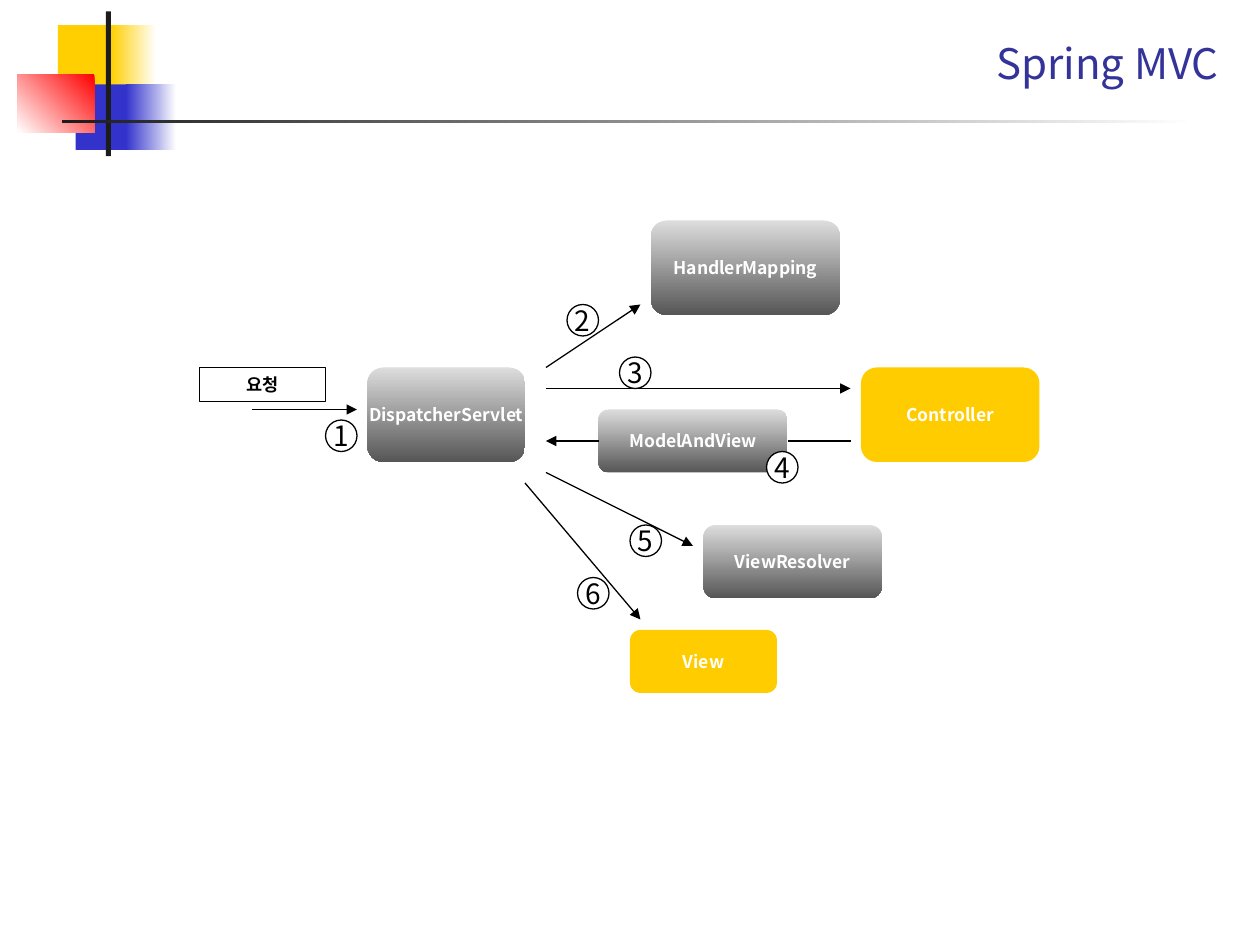
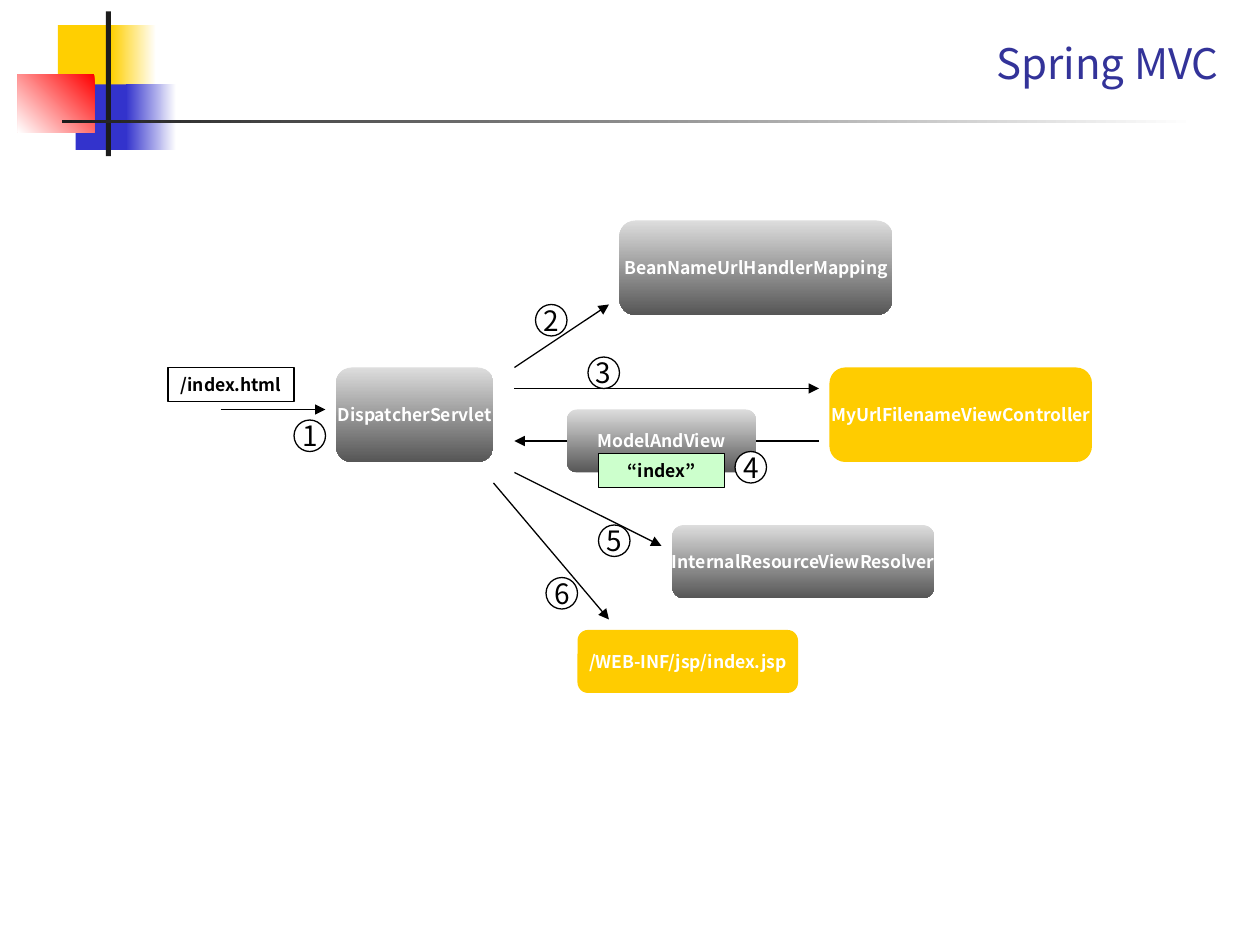
from dataclasses import dataclass

from lxml import etree
from pptx import Presentation
from pptx.dml.color import RGBColor
from pptx.enum.shapes import MSO_CONNECTOR, MSO_SHAPE
from pptx.enum.text import MSO_ANCHOR, MSO_AUTO_SIZE, PP_ALIGN
from pptx.oxml.ns import qn
from pptx.util import Pt

RECT, ROUNDED, OVAL = MSO_SHAPE.RECTANGLE, MSO_SHAPE.ROUNDED_RECTANGLE, MSO_SHAPE.OVAL
STRAIGHT = MSO_CONNECTOR.STRAIGHT
CENTER, RIGHT = PP_ALIGN.CENTER, PP_ALIGN.RIGHT
TOP, MIDDLE, BOTTOM = MSO_ANCHOR.TOP, MSO_ANCHOR.MIDDLE, MSO_ANCHOR.BOTTOM

EMU_PER_PX = 3048  # 300 px to the inch
SLIDE_SIZE = (3000, 2250)


@dataclass(frozen=True)
class Theme:
    font: str = "Noto Sans CJK KR"
    title_size: int = 24
    badge_size: int = 16
    label_size: int = 10
    line_width: float = 0.75
    title: str = "333399"
    black: str = "000000"
    white: str = "FFFFFF"
    bar: str = "1C1C1C"
    yellow: str = "FFCF01"
    blue: str = "3333CC"
    red: str = "FF0000"
    custom: str = "FFCC00"
    tag: str = "CCFFCC"
    framework: tuple = ("DDDDDD", "565656", 90)


THEME = Theme()

# Fills are a colour, a (start, end, clockwise angle) gradient, or None.
DECORATION = [
    ((138, 60, 144, 156), THEME.yellow),
    ((264, 60, 108, 156), (THEME.white, THEME.yellow, 180)),
    ((180, 201, 138, 156), THEME.blue),
    ((300, 201, 120, 156), (THEME.white, THEME.blue, 180)),
    ((42, 177, 183, 138), (THEME.red, THEME.white, 135)),
    ((252, 27, 12, 345), THEME.bar),
    ((147, 285, 2700, 9), (THEME.white, THEME.bar, 180)),
]
TITLE_BOX = (375, 51, 2556, 174)

# Slots of the diagram: left, top, height, fill; slides give text and width.
SLOTS = {
    "dispatcher": (875, 875, 225, THEME.framework),
    "mapping": (1550, 525, 225, THEME.framework),
    "controller": (2050, 875, 225, THEME.custom),
    "model": (1425, 975, 150, THEME.framework),
    "resolver": (1675, 1250, 175, THEME.framework),
    "view": (1500, 1500, 150, THEME.custom),
}
REQUEST_BOX = (475, 875, 300, 81)
TAG_BOX = (1500, 1080, 300, 81)
BADGE_SIZE = 75
BADGES = [(775, 1000), (1350, 725), (1475, 850), (1825, 1075), (1500, 1250), (1375, 1375)]
# Start, end, has arrowhead
ARROWS = [
    ((600, 975), (850, 975), True),
    ((1300, 875), (1525, 725), True),
    ((1300, 925), (2025, 925), True),
    ((2025, 1050), (1875, 1050), False),
    ((1425, 1050), (1300, 1050), True),
    ((1300, 1125), (1650, 1300), True),
    ((1250, 1150), (1525, 1475), True),
]

SLIDES = [
    {
        "title": "Spring MVC", "shift": 0, "view_shift": 0,
        "request": "요청", "tag": None,
        "boxes": {
            "dispatcher": ("DispatcherServlet", 375),
            "mapping": ("HandlerMapping", 450),
            "controller": ("Controller", 425),
            "model": ("ModelAndView", 450),
            "resolver": ("ViewResolver", 425),
            "view": ("View", 350),
        },
    },
    {
        "title": "Spring MVC", "shift": -75, "view_shift": -50,
        "request": "/index.html", "tag": "“index”",
        "boxes": {
            "dispatcher": ("DispatcherServlet", 375),
            "mapping": ("BeanNameUrlHandlerMapping", 650),
            "controller": ("MyUrlFilenameViewController", 625),
            "model": ("ModelAndView", 450),
            "resolver": ("InternalResourceViewResolver", 625),
            "view": ("/WEB-INF/jsp/index.jsp", 525),
        },
    },
]


def px(*lengths):
    return [n * EMU_PER_PX for n in lengths]


def moved(box, dx):
    return (box[0] + dx, *box[1:])


def set_fill(sp, fill):
    if fill is None:
        sp.fill.background()
    elif isinstance(fill, str):
        sp.fill.solid()
        sp.fill.fore_color.rgb = RGBColor.from_string(fill)
    else:
        *colours, angle = fill
        sp.fill.gradient()
        sp.fill.gradient_angle = 360 - angle
        for stop, colour in zip(sp.fill.gradient_stops, colours):
            stop.color.rgb = RGBColor.from_string(colour)


def set_line(line):
    line.color.rgb = RGBColor.from_string(THEME.black)
    line.width = Pt(THEME.line_width)


def add_shape(s, kind, box, fill, outlined=False):
    sp = s.shapes.add_shape(kind, *px(*box))
    sp.shadow.inherit = False
    set_fill(sp, fill)
    if outlined:
        set_line(sp.line)
    else:
        sp.line.fill.background()
    return sp


def set_text(sp, text, size, colour, bold=False, align=CENTER, anchor=MIDDLE, wrap=False):
    tf = sp.text_frame
    tf.text = text
    tf.word_wrap = wrap
    tf.vertical_anchor = anchor
    p = tf.paragraphs[0]
    p.alignment = align
    r = p.runs[0]
    r.font.size = Pt(size)
    r.font.bold = bold
    r.font.name = THEME.font
    r.font.color.rgb = RGBColor.from_string(colour)
    east_asian = etree.SubElement(r.font._element, qn("a:ea"))
    east_asian.set("typeface", THEME.font)


def add_label(s, text, box, fill=None):
    """Add an outlined caption that grows with its text."""
    sp = add_shape(s, RECT, box, fill, outlined=True)
    set_text(sp, text, THEME.label_size, THEME.black, bold=True, anchor=TOP, wrap=True)
    sp.text_frame.auto_size = MSO_AUTO_SIZE.SHAPE_TO_FIT_TEXT


def add_badge(s, number, left, top):
    sp = add_shape(s, OVAL, (left, top, BADGE_SIZE, BADGE_SIZE), THEME.white, outlined=True)
    set_text(sp, str(number), THEME.badge_size, THEME.black)


def add_arrow(s, start, end, has_head):
    cxn = s.shapes.add_connector(STRAIGHT, *px(*start, *end))
    set_line(cxn.line)
    if has_head:
        head = etree.SubElement(cxn.line._get_or_add_ln(), qn("a:tailEnd"))
        head.set("type", "triangle")
    etree.SubElement(cxn._element.spPr, qn("a:effectLst"))


def add_frame(s, title):
    """Draw the corner decoration and the title that every slide shares."""
    for box, fill in DECORATION:
        add_shape(s, RECT, box, fill)
    sp = s.shapes.add_textbox(*px(*TITLE_BOX))
    set_text(sp, title, THEME.title_size, THEME.title, align=RIGHT, anchor=BOTTOM, wrap=True)


def add_diagram(s, content):
    dx = content["shift"]
    for slot, (text, width) in content["boxes"].items():
        left, top, height, fill = SLOTS[slot]
        if slot == "view":
            left += content["view_shift"]
        sp = add_shape(s, ROUNDED, (left + dx, top, width, height), fill)
        set_text(sp, text, THEME.label_size, THEME.white, bold=True)
    add_label(s, content["request"], moved(REQUEST_BOX, dx))
    if content["tag"]:
        add_label(s, content["tag"], moved(TAG_BOX, dx), THEME.tag)
    for number, place in enumerate(BADGES, 1):
        add_badge(s, number, *moved(place, dx))
    for start, end, has_head in ARROWS:
        add_arrow(s, moved(start, dx), moved(end, dx), has_head)


def main():
    prs = Presentation()
    prs.slide_width, prs.slide_height = px(*SLIDE_SIZE)
    for content in SLIDES:
        s = prs.slides.add_slide(prs.slide_layouts[6])
        add_frame(s, content["title"])
        add_diagram(s, content)
    prs.save("out.pptx")


if __name__ == "__main__":
    main()
